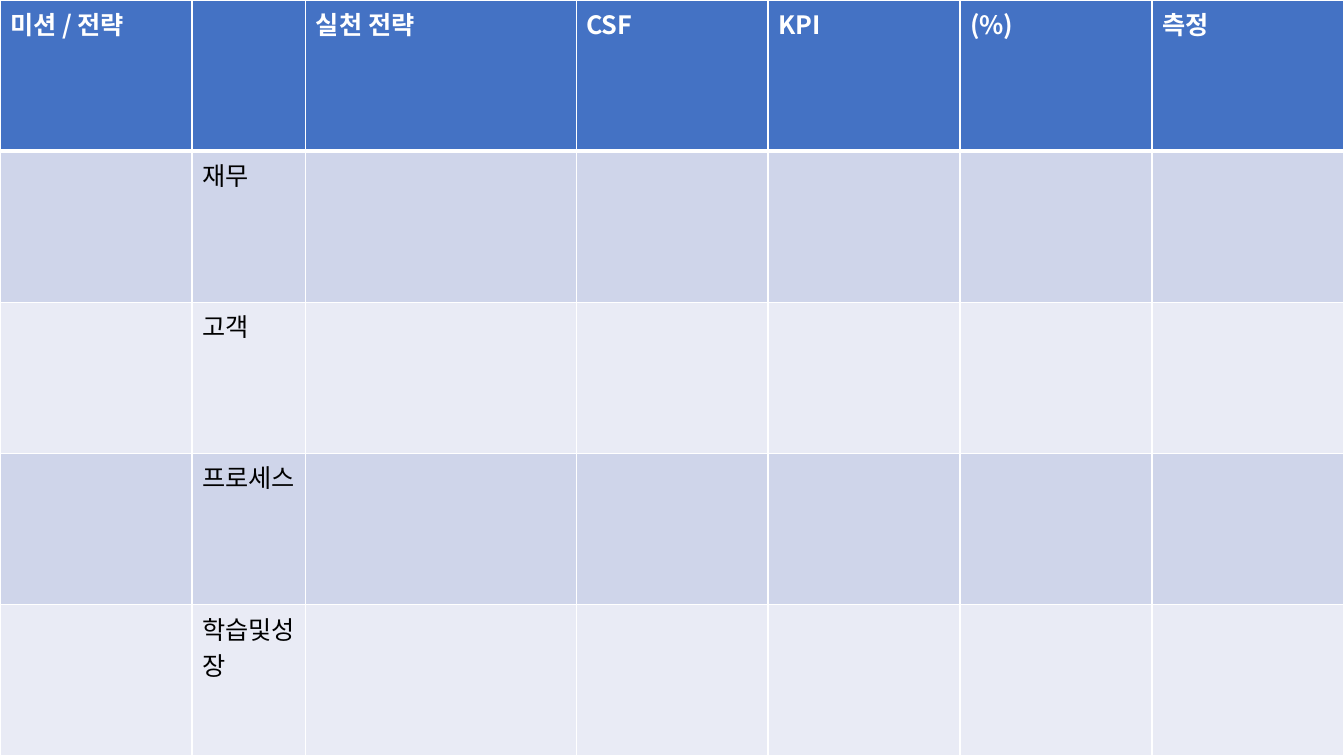
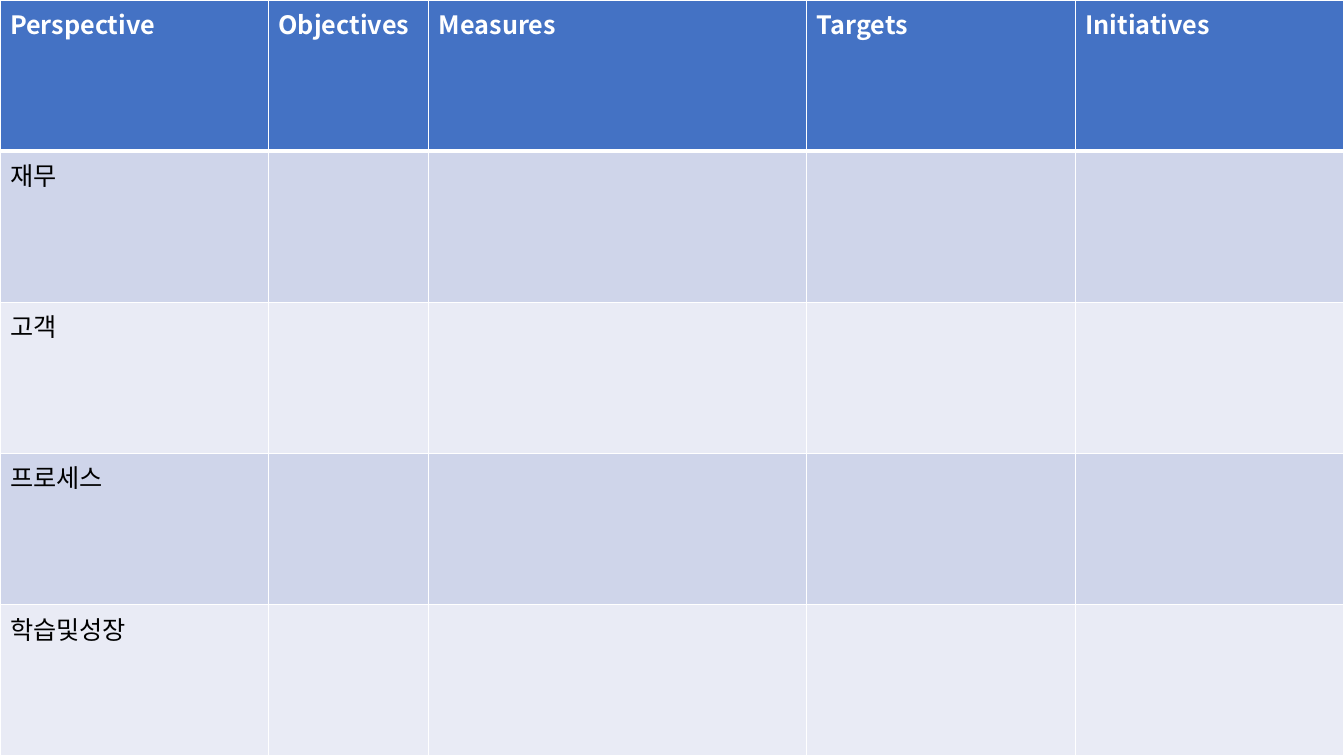
from lxml import etree
from pptx import Presentation
from pptx.dml.color import RGBColor
from pptx.oxml.ns import qn
from pptx.util import Inches, Pt

COLORS = {
    "header": "4472C4",
    "band_dark": "CFD5EA",
    "band_light": "E9EBF5",
    "border": "FFFFFF",
    "header_text": "FFFFFF",
    "body_text": "000000",
}
FONT = "Noto Sans CJK KR"
TEXT_SIZE = 18
SLIDE_WIDTH, SLIDE_HEIGHT = 13.33, 7.5
BLANK_LAYOUT = 6
THIN, THICK = 1, 3

PERSPECTIVES = ["재무", "고객", "프로세스", "학습및성장"]


def column_widths(total, count, fixed):
    """Give fixed columns their width and share the rest equally."""
    share = (total - sum(fixed.values())) / (count - len(fixed))
    return [fixed.get(index, share) for index in range(count)]


def set_borders(cell, top, bottom):
    properties = cell._tc.get_or_add_tcPr()
    for side, points in (("L", THIN), ("R", THIN), ("T", top), ("B", bottom)):
        line = etree.SubElement(properties, qn(f"a:ln{side}"), w=str(Pt(points)))
        fill = etree.SubElement(line, qn("a:solidFill"))
        etree.SubElement(fill, qn("a:srgbClr"), val=COLORS["border"])


def add_text(cell, text, color, bold):
    run = cell.text_frame.paragraphs[0].add_run()
    run.text = text
    font = run.font
    font.name, font.size, font.bold = FONT, Pt(TEXT_SIZE), bold
    font.color.rgb = RGBColor.from_string(COLORS[color])
    east_asian = etree.Element(qn("a:ea"), typeface=FONT)
    run._r.rPr.find(qn("a:latin")).addnext(east_asian)


def format_cell(cell, row, text):
    is_header = row == 0
    set_borders(cell, THICK if row == 1 else THIN, THICK if is_header else THIN)
    band = "header" if is_header else "band_dark" if row % 2 else "band_light"
    cell.fill.solid()
    cell.fill.fore_color.rgb = RGBColor.from_string(COLORS[band])
    if text:
        add_text(cell, text, "header_text" if is_header else "body_text", is_header)


def add_scorecard(slide, box, headers, label_column, fixed_widths):
    """Fill the box with a header row and one row per perspective."""
    left, top, width, height = box
    row_count = len(PERSPECTIVES) + 1
    table = slide.shapes.add_table(
        row_count, len(headers),
        Inches(left), Inches(top), Inches(width), Inches(height),
    ).table
    widths = column_widths(width, len(headers), fixed_widths)
    for column, column_width in zip(table.columns, widths):
        column.width = Inches(column_width)
    for row in table.rows:
        row.height = Inches(height / row_count)

    for column, header in enumerate(headers):
        labels = PERSPECTIVES if column == label_column else [""] * len(PERSPECTIVES)
        for row, text in enumerate([header, *labels]):
            format_cell(table.cell(row, column), row, text)


def main():
    presentation = Presentation()
    presentation.slide_width = Inches(SLIDE_WIDTH)
    presentation.slide_height = Inches(SLIDE_HEIGHT)
    full_slide = (0, 0, SLIDE_WIDTH, SLIDE_HEIGHT)

    scorecards = [
        (["미션 / 전략", "", "실천 전략", "CSF", "KPI", "(%)", "측정"],
         1, {1: 1.13, 2: 2.68}),
        (["Perspective", "Objectives", "Measures", "Targets", "Initiatives"],
         0, {1: 1.59, 2: 3.75}),
    ]
    for headers, label_column, fixed_widths in scorecards:
        slide = presentation.slides.add_slide(presentation.slide_layouts[BLANK_LAYOUT])
        add_scorecard(slide, full_slide, headers, label_column, fixed_widths)

    presentation.save("out.pptx")


if __name__ == "__main__":
    main()
